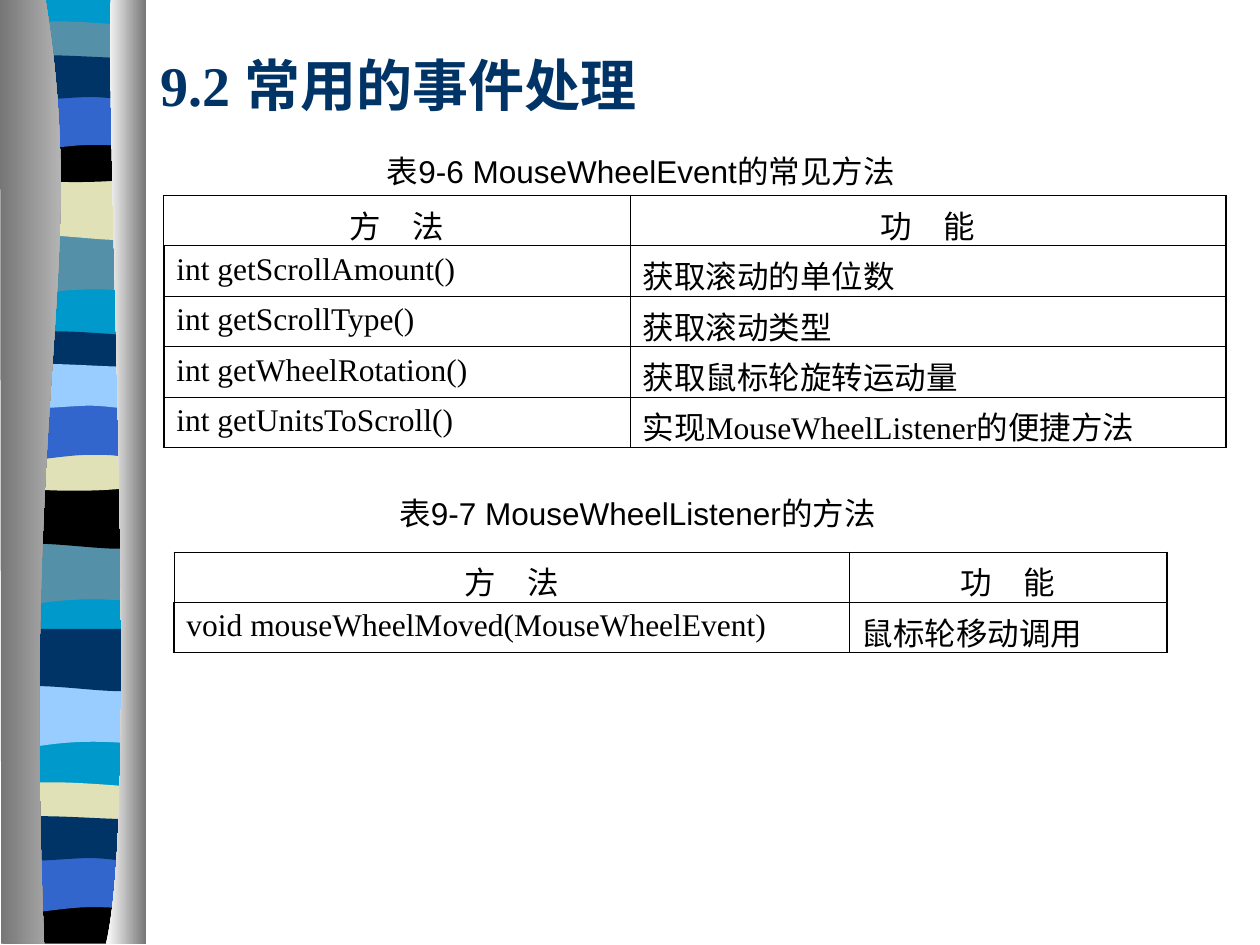
from pptx import Presentation
from pptx.dml.color import RGBColor
from pptx.enum.text import MSO_ANCHOR, MSO_AUTO_SIZE, PP_ALIGN
from pptx.oxml import parse_xml
from pptx.oxml.ns import nsdecls, qn
from pptx.util import Inches, Pt

TITLE = "9.2 常用的事件处理"
HEADER = ("方　法", "功　能")
TABLES = [
    {"caption": "表9-6 MouseWheelEvent的常见方法", "caption_at": (2.91, 1.16, 4.35, 0.4),
     "corner": (1.3, 1.55), "columns": (3.7, 4.73),
     "methods": [("int getScrollAmount()", "获取滚动的单位数"),
                 ("int getScrollType()", "获取滚动类型"),
                 ("int getWheelRotation()", "获取鼠标轮旋转运动量"),
                 ("int getUnitsToScroll()", "实现MouseWheelListener的便捷方法")]},
    {"caption": "表9-7 MouseWheelListener的方法", "caption_at": (3.01, 3.87, 4.1, 0.4),
     "corner": (1.38, 4.38), "columns": (5.36, 2.52),
     "methods": [("void mouseWheelMoved(MouseWheelEvent)", "鼠标轮移动调用")]},
]
ROW_HEIGHT = 0.4
THIN, THICK = 0.45, 1.47

# Band outlines run from the top right corner; six numbers are a Bezier curve, two a line.
BAND_WIDTH = 1.08
FLAT_TOP = [(0, 0)]
DIP_TOP = [(0, 0), (0.66, 0.05, 0.85, 0, 1.08, 0)]
OUTLINES = {
    "swell": [(1.08, 0.47), (0.33, 0.39, 0.18, 0.55, 0, 0.47)] + FLAT_TOP,
    "wave": [(1.08, 0.47), (0.9, 0.55, 0.33, 0.41, 0, 0.47)] + FLAT_TOP,
    "hump": [(1.08, 0.24), (0.9, 0.28, 0.18, 0.28, 0, 0.24), (0, 0),
             (0.06, -0.05, 0.23, -0.04, 0.41, -0.04), (0.59, -0.04, 0.94, -0.01, 1.08, 0)],
    "dip": [(1.08, 0.32), (0.9, 0.38, 0.18, 0.38, 0, 0.32)] + DIP_TOP,
    "arch": [(1.08, 0.47), (0.91, 0.41, 0.84, 0.41, 0.66, 0.41),
             (0.48, 0.41, 0.16, 0.47, 0, 0.47)] + FLAT_TOP,
    "ripple": [(1.08, 0.31), (1.01, 0.36, 0.84, 0.31, 0.66, 0.31),
               (0.48, 0.31, 0.11, 0.36, 0, 0.31), (0, 0),
               (0.15, -0.05, 0.73, 0, 0.91, 0), (1.09, 0, 1.05, 0, 1.08, 0)],
    "foot": [(1.08, 0.37), (0, 0.37)] + DIP_TOP,
    "backdrop": [(1.08, 7.48), (0, 7.48)] + FLAT_TOP,
}
BANDS = [  # outline, left, top, colour; from back to front
    ("backdrop", 0.06, -0.01, "0099CC"),
    ("swell", 0.06, 1.85, "5490A8"), ("wave", 0.06, 1.41, "E1E1B7"),
    ("hump", 0.06, 0.21, "5490A8"), ("dip", 0.06, 1.08, "000000"),
    ("arch", 0.06, 0.74, "3366CC"), ("ripple", 0.06, 0.46, "003366"),
    ("swell", 0.05, 4.31, "5490A8"), ("wave", 0.05, 3.86, "000000"),
    ("hump", 0.05, 2.67, "003366"), ("dip", 0.05, 3.53, "E1E1B7"),
    ("arch", 0.05, 3.2, "3366CC"), ("ripple", 0.05, 2.91, "99CCFF"),
    ("swell", 0.06, 5.44, "99CCFF"), ("wave", 0.06, 4.99, "003366"),
    ("hump", 0.05, 6.25, "E1E1B7"), ("foot", 0.05, 7.12, "000000"),
    ("arch", 0.05, 6.79, "3366CC"), ("ripple", 0.05, 6.5, "003366"),
]
COLUMNS = [  # start, outline, left colour, right colour
    ((0.36, -0.01), [(0.71, 2.16, 0.17, 2.96, 0.35, 7.49), (0.01, 7.49), (0, -0.01)],
     "767676", "D2D2D2"),
    ((0.88, -0.01), [(0.84, 1.25, 1.11, 6.46, 0.84, 7.49), (1.16, 7.49), (1.16, 0)],
     "FFFFFF", "767676"),
]


def rgb(colour):
    return RGBColor.from_string(colour)


def add_outline(slide, start, segments, left=0, top=0):
    """Draw a closed outline of lines and Bezier curves."""
    def place(x, y):
        return Inches(left + x), Inches(top + y)

    builder = slide.shapes.build_freeform(*place(*start))
    builder.add_line_segments([place(*segment[i:i + 2]) for segment in segments
                               for i in range(0, len(segment), 2)], close=True)
    shape = builder.convert_to_shape()
    # Each curve arrives as three lines: join their points into one curve element.
    lines = iter(list(shape._element.iter(qn("a:lnTo"))))
    for segment in segments:
        line = next(lines)
        if len(segment) == 6:
            curve = parse_xml(f'<a:cubicBezTo {nsdecls("a")}/>')
            line.addprevious(curve)
            for part in (line, next(lines), next(lines)):
                curve.append(part[0])
                part.getparent().remove(part)
    shape.shadow.inherit = False
    shape.line.fill.background()
    return shape


def add_ribbon(slide):
    for outline, left, top, colour in BANDS:
        band = add_outline(slide, (BAND_WIDTH, 0), OUTLINES[outline], left, top)
        band.fill.solid()
        band.fill.fore_color.rgb = rgb(colour)
    for start, segments, *colours in COLUMNS:
        column = add_outline(slide, start, segments)
        column.fill.gradient()
        column.fill.gradient_angle = 0
        for stop, colour in zip(column.fill.gradient_stops, colours):
            stop.color.rgb = rgb(colour)


def write(frame, text, size, font, align, colour="000000", bold=False):
    frame.text = text
    paragraph = frame.paragraphs[0]
    paragraph.alignment = align
    for run in paragraph.runs:
        run.font.size, run.font.name, run.font.bold = Pt(size), font, bold
        run.font.color.rgb = rgb(colour)


def set_borders(cell, **widths):
    properties = cell._tc.get_or_add_tcPr()
    for side in "LRTB":
        properties.append(parse_xml(
            f'<a:ln{side} {nsdecls("a")} w="{Pt(widths.get(side, THIN))}"><a:solidFill>'
            f'<a:srgbClr val="000000"/></a:solidFill></a:ln{side}>'))


def add_caption(slide, text, place):
    frame = slide.shapes.add_textbox(*map(Inches, place)).text_frame
    frame.word_wrap = False
    frame.auto_size = MSO_AUTO_SIZE.SHAPE_TO_FIT_TEXT
    frame.vertical_anchor = MSO_ANCHOR.MIDDLE
    write(frame, text, 18, "Arial", PP_ALIGN.CENTER)


def add_method_table(slide, corner, columns, methods):
    rows = [HEADER] + methods
    size = (sum(columns), ROW_HEIGHT * len(rows))
    table = slide.shapes.add_table(len(rows), len(columns), *map(Inches, corner + size)).table
    table.first_row = table.horz_banding = False
    for column, width in zip(table.columns, columns):
        column.width = Inches(width)
    for row, texts in enumerate(rows):
        for col, text in enumerate(texts):
            cell = table.cell(row, col)
            align = PP_ALIGN.LEFT if row else PP_ALIGN.CENTER
            write(cell.text_frame, text, 18, "Times New Roman", align)
            set_borders(cell, L=THICK if row and col == 0 else THIN,
                        R=THICK if col == len(columns) - 1 else THIN)
            cell.fill.background()


def main():
    deck = Presentation()
    deck.slide_width, deck.slide_height = Inches(10), Inches(7.5)
    slide = deck.slides.add_slide(deck.slide_layouts[5])
    add_ribbon(slide)

    title = slide.shapes.title
    title.left, title.top, title.width, title.height = map(Inches, (1.17, 0.33, 8.5, 0.67))
    title.text_frame.vertical_anchor = MSO_ANCHOR.MIDDLE
    write(title.text_frame, TITLE, 32, "Times New Roman", PP_ALIGN.LEFT, "003366", True)

    for entry in TABLES:
        add_caption(slide, entry["caption"], entry["caption_at"])
        add_method_table(slide, entry["corner"], entry["columns"], entry["methods"])
    deck.save("out.pptx")


if __name__ == "__main__":
    main()
